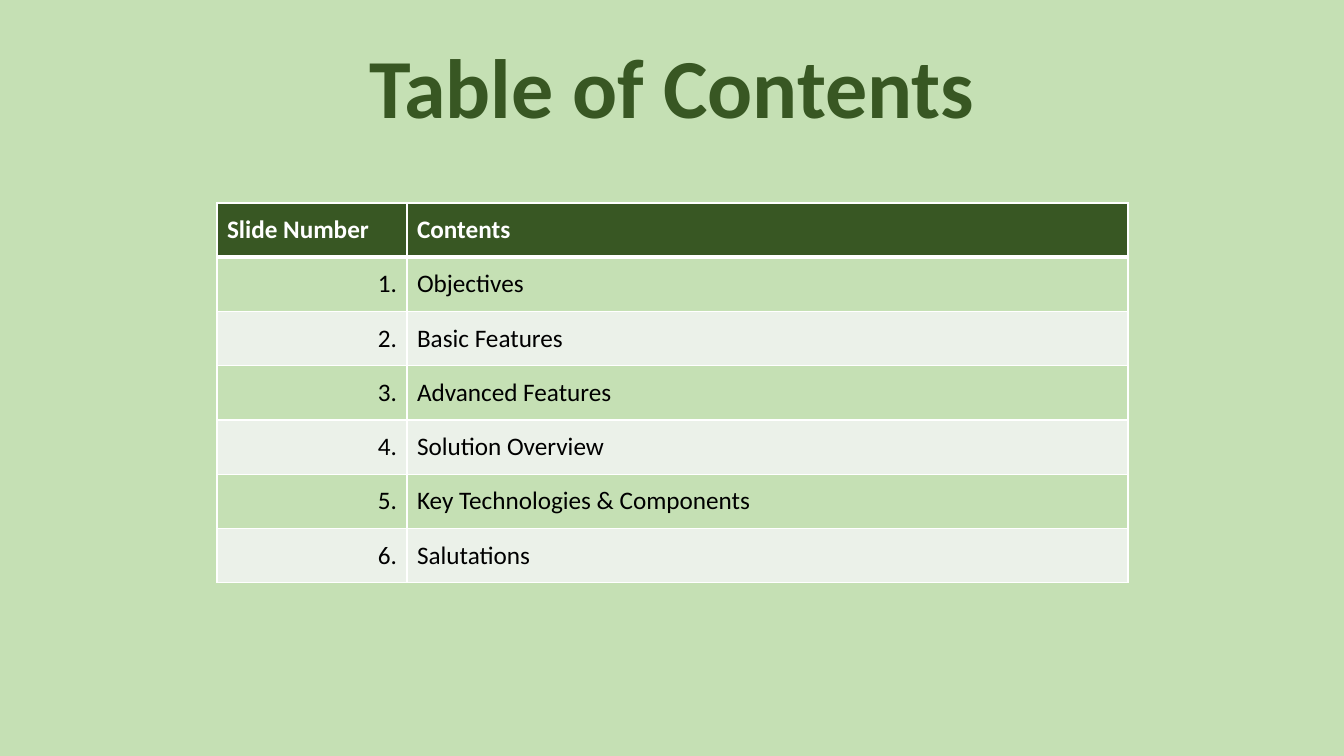
from lxml.etree import SubElement
from pptx import Presentation
from pptx.dml.color import RGBColor
from pptx.enum.text import MSO_ANCHOR as Anchor, PP_ALIGN as Align
from pptx.oxml.ns import qn
from pptx.util import Emu, Pt

EMU_PER_PX = 12192000 / 1344
DARK_GREEN, LIGHT_GREEN, PALE = "385723", "C5E0B4", "EBF1E9"
WHITE, BLACK = "FFFFFF", "000000"
CONTENTS = ["Objectives", "Basic Features", "Advanced Features",
            "Solution Overview", "Key Technologies & Components", "Salutations"]


def px(length):
    return Emu(round(length * EMU_PER_PX))


def color(hex_string):
    return RGBColor.from_string(hex_string)


class SlideBuilder:
    font_name = "Calibri"

    def __init__(self, slide, background):
        self.slide = slide
        fill = slide.background.fill
        fill.solid()
        fill.fore_color.rgb = color(background)

    def format_text(self, text_frame, size, hex_string, bold, align):
        for paragraph in text_frame.paragraphs:
            paragraph.alignment = align
            for run in paragraph.runs:
                run.font.name = self.font_name
                run.font.size = Pt(size)
                run.font.bold = bold
                run.font.color.rgb = color(hex_string)

    def title(self, text, left, top, width, height):
        shape = self.slide.shapes.title
        shape.left, shape.top = px(left), px(top)
        shape.width, shape.height = px(width), px(height)
        text_frame = shape.text_frame
        text_frame.text = text
        text_frame.word_wrap = True
        text_frame.vertical_anchor = Anchor.BOTTOM
        text_frame.paragraphs[0].line_spacing = 0.9
        self.format_text(text_frame, 60, DARK_GREEN, True, Align.CENTER)

    def border(self, cell, side, points):
        properties = cell._tc.get_or_add_tcPr()
        line = SubElement(properties, qn(f"a:ln{side}"), w=str(Pt(points)))
        SubElement(SubElement(line, qn("a:solidFill")), qn("a:srgbClr"), val=WHITE)

    def table(self, rows, left, top, column_widths, height):
        table = self.slide.shapes.add_table(
            len(rows), len(column_widths), px(left), px(top),
            px(sum(column_widths)), px(height)).table
        for column, width in zip(table.columns, column_widths):
            column.width = px(width)
        for row_index, row in enumerate(rows):
            for column_index, text in enumerate(row):
                self.cell(table.cell(row_index, column_index), text,
                          row_index, column_index)

    def cell(self, cell, text, row_index, column_index):
        header = row_index == 0
        # Borders come before the fill; the rule under the header is thicker
        for side in "LRTB":
            under_header = (side, row_index) in (("B", 0), ("T", 1))
            self.border(cell, side, 3 if under_header else 1)
        cell.fill.solid()
        band = LIGHT_GREEN if row_index % 2 else PALE
        cell.fill.fore_color.rgb = color(DARK_GREEN if header else band)
        cell.vertical_anchor = Anchor.MIDDLE
        cell.text_frame.text = text
        numbered = column_index == 0 and not header
        self.format_text(cell.text_frame, 18, WHITE if header else BLACK,
                         header, Align.RIGHT if numbered else Align.LEFT)


def main():
    presentation = Presentation()
    presentation.slide_width, presentation.slide_height = px(1344), px(756)
    slide = presentation.slides.add_slide(presentation.slide_layouts[0])
    builder = SlideBuilder(slide, LIGHT_GREEN)

    # Title, without the layout's subtitle
    builder.title("Table of Contents", 168, 31, 1008, 111)
    subtitle = slide.placeholders[1].element
    subtitle.getparent().remove(subtitle)

    # Contents table
    rows = [("Slide Number", "Contents")]
    rows += [(f"{number}.", text) for number, text in enumerate(CONTENTS, 1)]
    builder.table(rows, 217, 203, [190, 721], 380)

    presentation.save("out.pptx")


if __name__ == "__main__":
    main()
